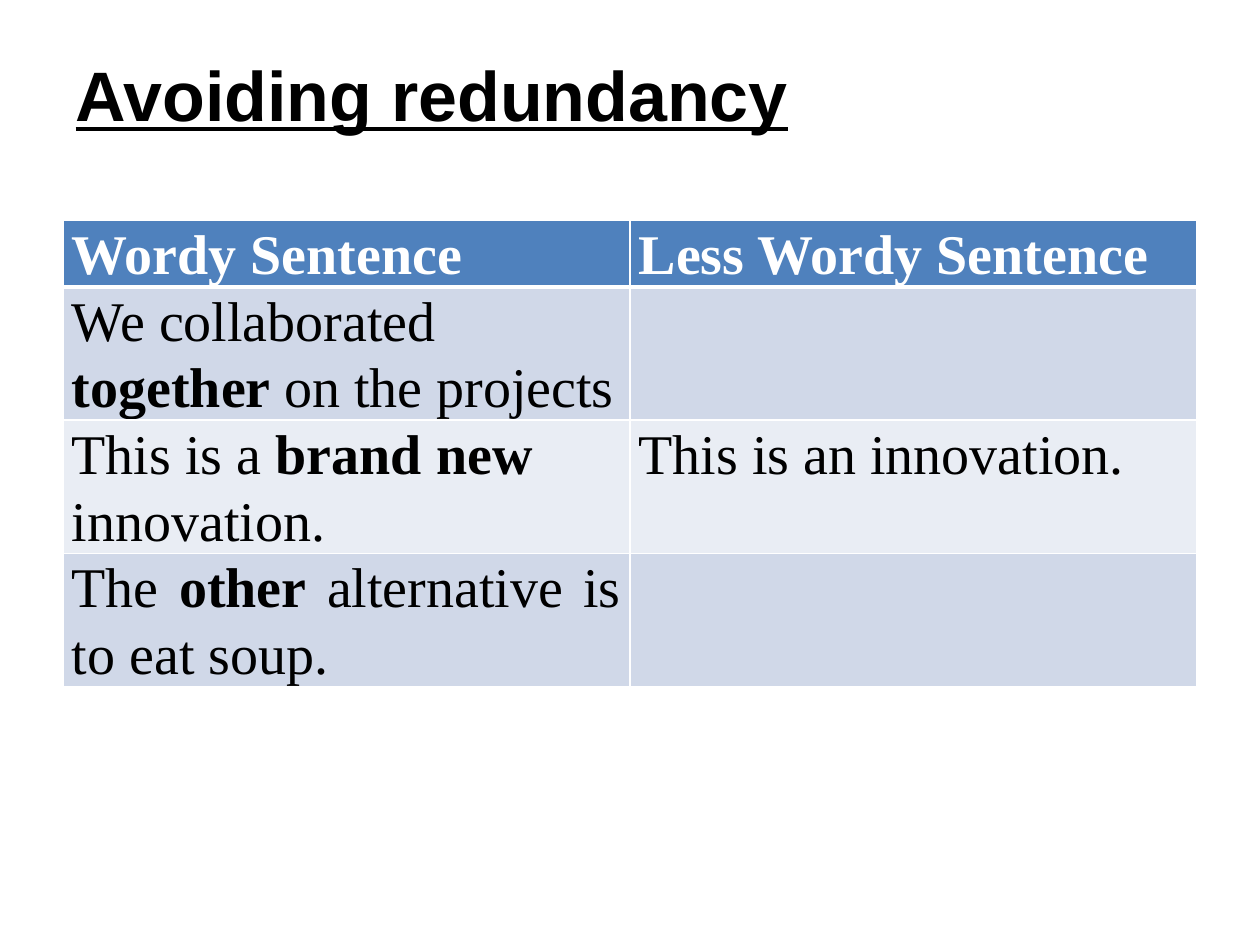
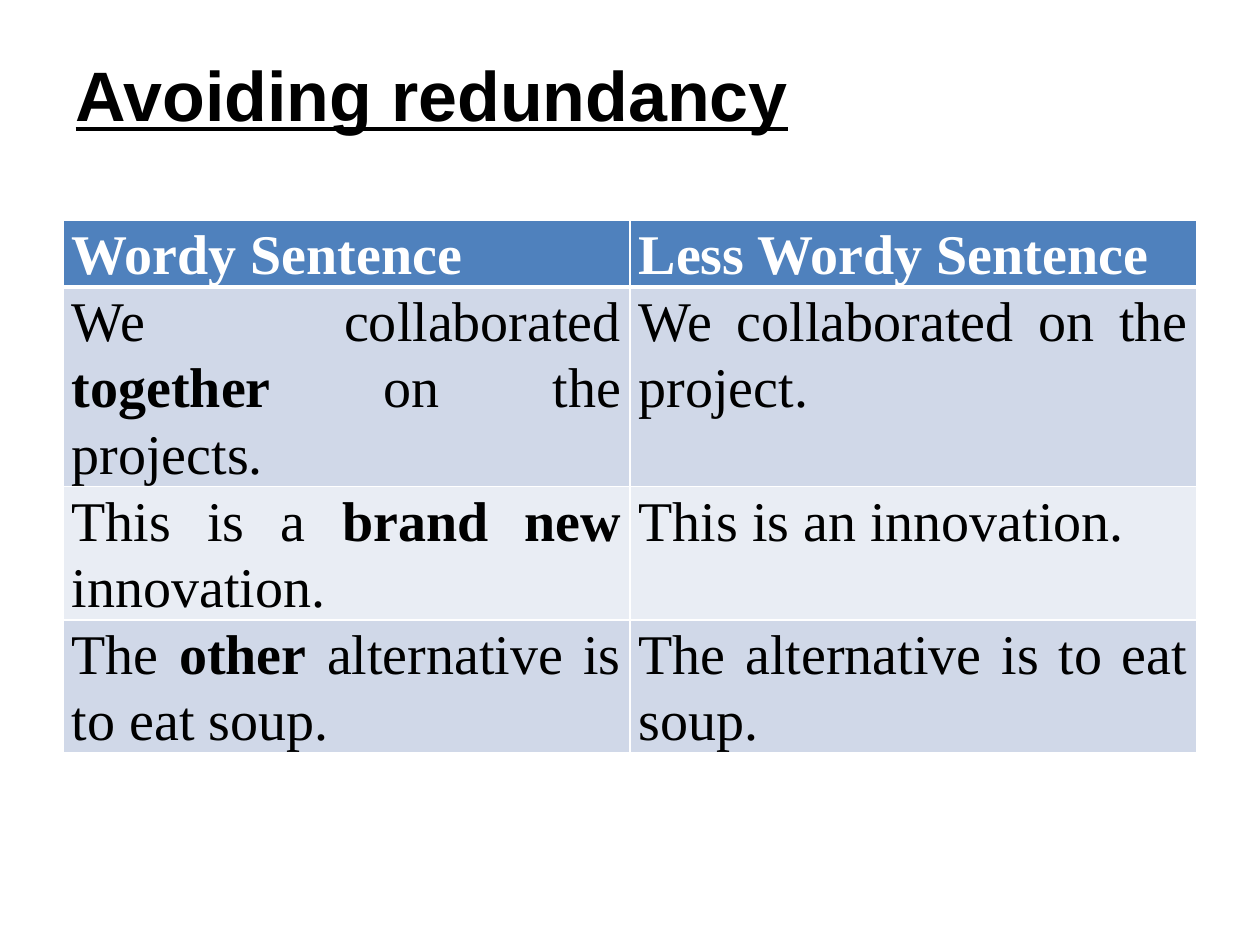
from dataclasses import dataclass

from lxml import etree
from pptx import Presentation
from pptx.dml.color import RGBColor
from pptx.enum import text
from pptx.oxml import ns
from pptx.util import Emu, Pt

# Shared look
PX = 9144  # EMU per px, 100 px to the inch
COLORS = {
    "ink": "000000",
    "white": "FFFFFF",
    "header": "4F81BD",
    "band_dark": "D0D8E8",
    "band_light": "E9EDF4",
}
TITLE = "Avoiding redundancy"
HEADER = ("Wordy Sentence ", "Less Wordy Sentence")
COLUMN_WIDTH, ROW_HEIGHT, FRAME_HEIGHT = 450, 41, 399


@dataclass(frozen=True)
class Comparison:
    """Sentence pair; ** switches bold, a line break starts a paragraph."""
    wordy: str
    concise: str = ""


# Content of each slide
EXERCISE = (
    Comparison("We collaborated \n**together **on the projects"),
    Comparison("This is a **brand new **\ninnovation. ", "This is an innovation. "),
    Comparison("The **other** alternative is to eat soup. "),
)
ANSWERS = (
    Comparison("We collaborated **together** on the projects.",
               "We collaborated on the project. "),
    Comparison("This is a **brand new** innovation. ", "This is an innovation. "),
    Comparison("The **other** alternative is to eat soup. ",
               "The alternative is to eat soup. "),
)


def px(length: int) -> Emu:
    return Emu(length * PX)


def color(name: str) -> RGBColor:
    return RGBColor.from_string(COLORS[name])


def style_font(font, name: str, size: int, ink: str, bold: bool) -> None:
    font.name, font.size, font.bold = name, Pt(size), bold
    font.color.rgb = color(ink)


def add_title(page) -> None:
    box = page.shapes.title
    box.left, box.top, box.width, box.height = map(px, (50, 30, 900, 125))
    frame = box.text_frame
    frame.text = TITLE
    frame.auto_size = text.MSO_AUTO_SIZE.NONE
    frame.vertical_anchor = text.MSO_ANCHOR.TOP
    frame.margin_top = px(11)
    para = frame.paragraphs[0]
    para.alignment = text.PP_ALIGN.LEFT
    span = para.runs[0]
    style_font(span.font, "Arial", 40, "ink", True)
    span.font.underline = True


def set_borders(cell, top: int, bottom: int) -> None:
    properties = cell._tc.get_or_add_tcPr()
    widths = {"lnL": 1, "lnR": 1, "lnT": top, "lnB": bottom}
    for index, (side, width) in enumerate(widths.items()):
        line = etree.Element(ns.qn(f"a:{side}"), w=str(Pt(width)))
        fill = etree.SubElement(line, ns.qn("a:solidFill"))
        etree.SubElement(fill, ns.qn("a:srgbClr"), val=COLORS["white"])
        properties.insert(index, line)


def fill_cell(cell, content: str, ink: str, all_bold: bool) -> None:
    cell.margin_left = cell.margin_right = px(7)
    cell.margin_top = cell.margin_bottom = 0
    frame = cell.text_frame
    for index, line in enumerate(content.split("\n")):
        para = frame.add_paragraph() if index else frame.paragraphs[0]
        para.alignment = text.PP_ALIGN.JUSTIFY
        para.line_spacing = 1.07
        for part, words in enumerate(line.split("**")):
            if words:
                span = para.add_run()
                span.text = words
                style_font(span.font, "Times New Roman", 32, ink,
                           all_bold or part % 2 == 1)


def add_comparison_table(page, comparisons: tuple[Comparison, ...]) -> None:
    rows = [HEADER] + [(pair.wordy, pair.concise) for pair in comparisons]
    holder = page.shapes.add_table(
        len(rows), len(HEADER), px(50), px(175),
        px(COLUMN_WIDTH * len(HEADER)), px(ROW_HEIGHT * len(rows)))
    for row, contents in enumerate(rows):
        is_header = row == 0
        band = "header" if is_header else "band_dark" if row % 2 else "band_light"
        for column, content in enumerate(contents):
            cell = holder.table.cell(row, column)
            cell.fill.solid()
            cell.fill.fore_color.rgb = color(band)
            set_borders(cell, top=3 if row == 1 else 1, bottom=3 if is_header else 1)
            if content:
                fill_cell(cell, content, "white" if is_header else "ink", is_header)
    holder.height = px(FRAME_HEIGHT)


def main() -> None:
    deck = Presentation()
    deck.slide_width, deck.slide_height = px(1000), px(750)
    title_only = deck.slide_layouts[5]
    for comparisons in (EXERCISE, ANSWERS):
        page = deck.slides.add_slide(title_only)
        add_title(page)
        add_comparison_table(page, comparisons)
    deck.save("out.pptx")


if __name__ == "__main__":
    main()
